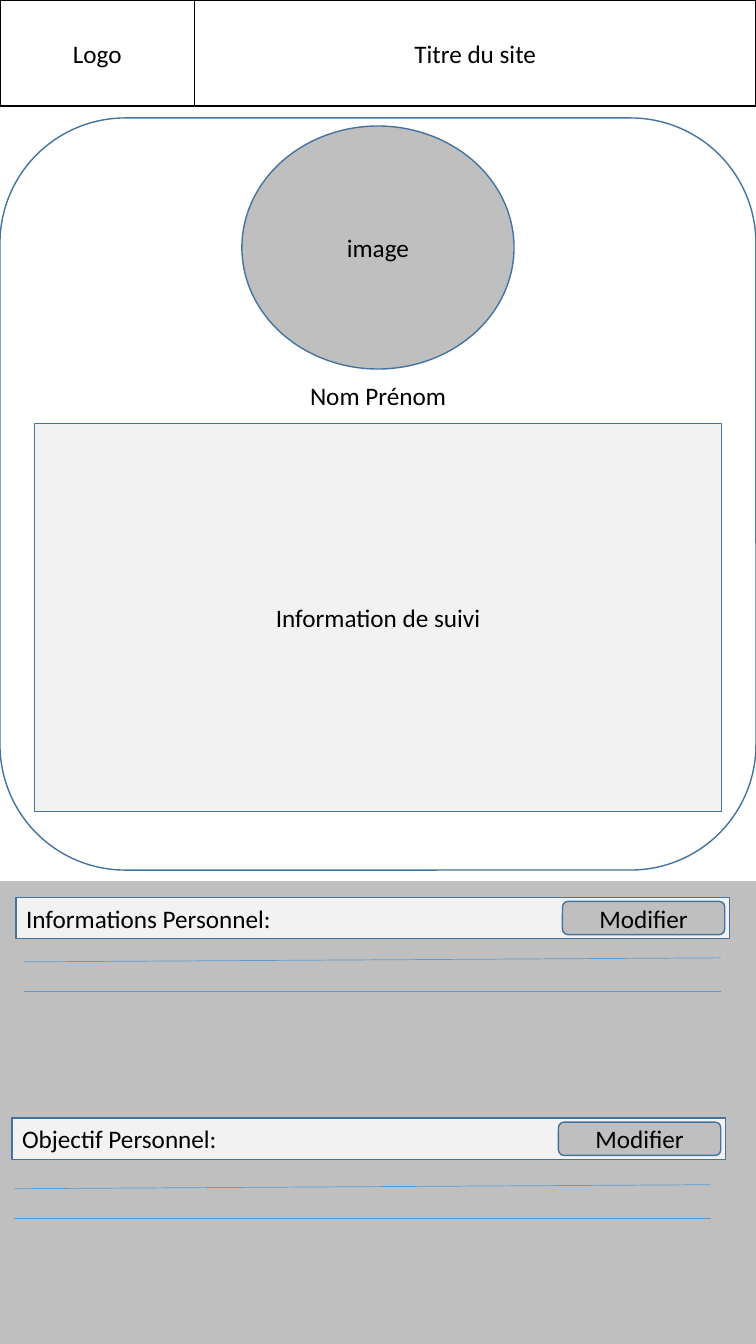
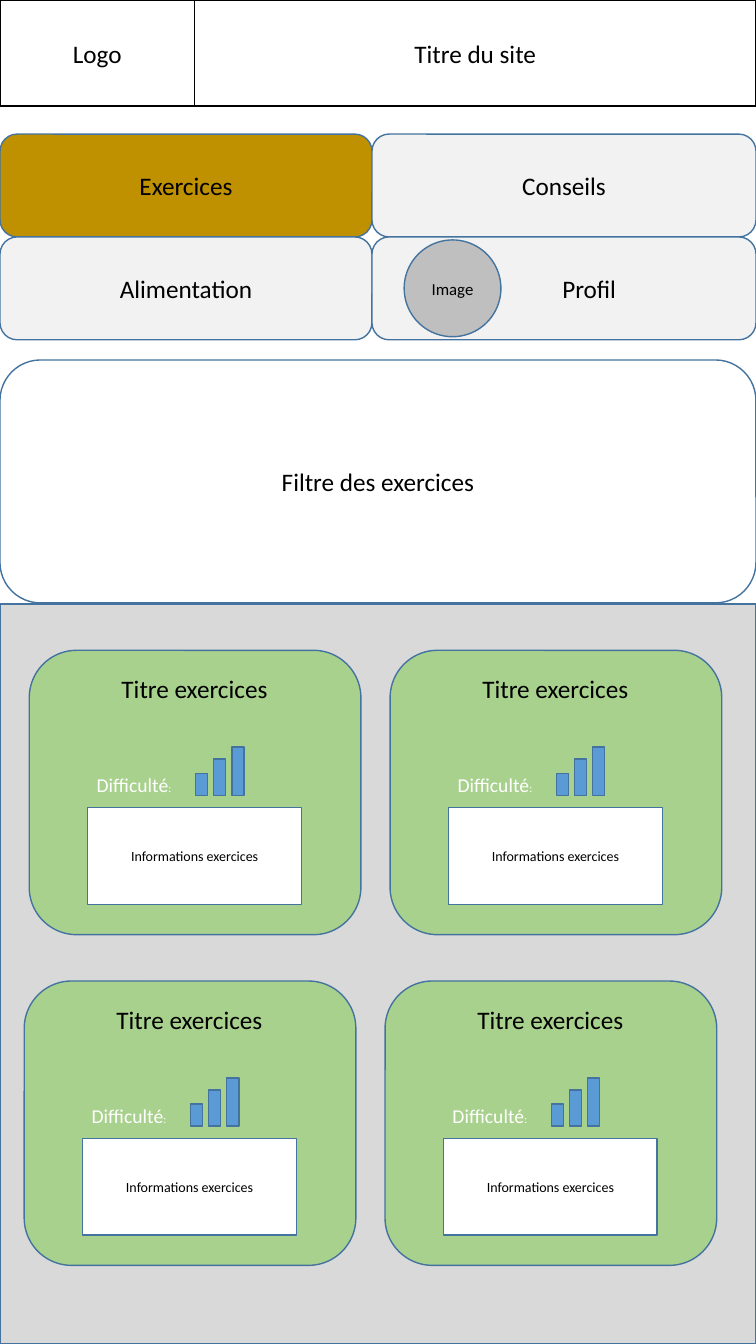
from pptx import Presentation
from pptx.util import Inches, Pt
from pptx.dml.color import RGBColor
from pptx.enum.shapes import MSO_SHAPE, MSO_CONNECTOR
from pptx.enum.text import PP_ALIGN, MSO_ANCHOR, MSO_AUTO_SIZE
from pptx.oxml.ns import qn
from lxml import etree

# Content
HEAD = ["Logo", "Titre du site"]
PERSON = ["image", "Nom Prénom", "Information de suivi"]
EDIT = "Modifier"
# title, panel left and top, rules left and top
PANELS = [
    ("Informations Personnel:", 0.16, 8.9, 0.24, 9.5),
    ("Objectif Personnel:", 0.12, 11.09, 0.14, 11.75),
]
TABS = [["Exercices", "Conseils"], ["Alimentation", "\tProfil"]]
ACTIVE = "Exercices"
FILTER = "Filtre des exercices"
CARD = ["Titre exercices", "Difficulté", ":", "Informations exercices"]

# Shared look
FONT = "Calibri"
COLOR = dict(white="FFFFFF", black="000000", edge="43739E", blue="5B9BD5",
             pale="F2F2F2", gray="BFBFBF", soft="D9D9D9", gold="BF9000",
             green="A9D18E")
WIDE, HIGH = 7.5, 13.33
SPLIT, HEAD_H = 1.93, 1.05
RECT, ROUND, OVAL = (MSO_SHAPE.RECTANGLE, MSO_SHAPE.ROUNDED_RECTANGLE,
                     MSO_SHAPE.OVAL)


def tint(name):
    return RGBColor.from_string(COLOR[name])


def style(run, size, color):
    run.font.name = FONT
    run.font.size = Pt(size)
    run.font.color.rgb = tint(color)


def box(slide, kind, x, y, w, h, fill, text="", size=18, edge="edge",
        align=PP_ALIGN.CENTER):
    shape = slide.shapes.add_shape(kind, *map(Inches, (x, y, w, h)))
    shape.shadow.inherit = False
    shape.fill.solid()
    shape.fill.fore_color.rgb = tint(fill)
    if edge:
        shape.line.color.rgb = tint(edge)
        shape.line.width = Pt(1)
    else:
        shape.line.fill.background()
    if text:
        frame = shape.text_frame
        frame.text = text
        frame.vertical_anchor = MSO_ANCHOR.MIDDLE
        para = frame.paragraphs[0]
        para.alignment = align
        style(para.runs[0], size, "black")


def label(slide, x, y, w, h, parts, color="black"):
    frame = slide.shapes.add_textbox(*map(Inches, (x, y, w, h))).text_frame
    frame.word_wrap = True
    frame.auto_size = MSO_AUTO_SIZE.SHAPE_TO_FIT_TEXT
    para = frame.paragraphs[0]
    para.alignment = PP_ALIGN.CENTER
    for text, size in parts:
        run = para.add_run()
        run.text = text
        style(run, size, color)


def rule(slide, x, y, end_x, end_y):
    line = slide.shapes.add_connector(
        MSO_CONNECTOR.STRAIGHT, *map(Inches, (x, y, end_x, end_y)))
    line.line.color.rgb = tint("blue")
    line.line.width = Pt(0.5)
    etree.SubElement(line._element.spPr, qn("a:effectLst"))


def page(deck):
    slide = deck.slides.add_slide(deck.slide_layouts[6])
    cells = [(0, SPLIT), (SPLIT, WIDE - SPLIT)]
    for text, (x, w) in zip(HEAD, cells):
        box(slide, RECT, x, 0, w, HEAD_H, "white", text, edge="black")
    return slide


def panel(slide, title, x, y, rule_x, rule_y):
    box(slide, RECT, x, y, 7.08, 0.41, "pale", title, align=PP_ALIGN.LEFT)
    box(slide, ROUND, x + 5.42, y + 0.04, 1.61, 0.33, "gray", EDIT)
    end = rule_x + 6.91
    rule(slide, rule_x, rule_y + 0.04, end, rule_y)
    rule(slide, rule_x, rule_y + 0.33, end, rule_y + 0.33)


def card(slide, x, y):
    title, level, colon, info = CARD
    box(slide, ROUND, x, y, 3.29, 2.82, "green")
    label(slide, x + 0.29, y + 0.18, 2.7, 0.4, [(title, 18)])
    label(slide, x + 0.48, y + 1.17, 1.12, 0.34,
          [(level, 14), (colon, 8)], "white")
    # Difficulty bars share one base line
    for i, tall in enumerate([0.22, 0.36, 0.48]):
        box(slide, RECT, x + 1.65 + i * 0.18, y + 1.44 - tall, 0.12, tall,
            "blue")
    box(slide, RECT, x + 0.58, y + 1.56, 2.12, 0.96, "white", info, 10)


deck = Presentation()
deck.slide_width, deck.slide_height = Inches(WIDE), Inches(HIGH)

# Profile page
slide = page(deck)
photo, name, notes = PERSON
box(slide, ROUND, 0, 1.17, WIDE, 7.46, "white")
box(slide, OVAL, 2.4, 1.25, 2.7, 2.41, "gray", photo)
label(slide, 2.19, 3.72, 3.12, 0.4, [(name, 18)])
box(slide, RECT, 0.34, 4.2, 6.82, 3.85, "pale", notes)
box(slide, RECT, 0, 8.74, WIDE, HIGH - 8.74, "gray", edge=None)
for item in PANELS:
    panel(slide, *item)

# Exercise page: tabs
slide = page(deck)
TAB_W, TAB_H = 3.69, 1.02
for r, row in enumerate(TABS):
    for c, text in enumerate(row):
        box(slide, ROUND, c * TAB_W, 1.33 + r * TAB_H,
            WIDE - TAB_W if c else TAB_W, TAB_H,
            "gold" if text == ACTIVE else "pale", text)
box(slide, OVAL, 4.01, 2.38, 0.96, 0.96, "gray", "Image", 12)

# Filter and card grid, lower row set slightly left
box(slide, ROUND, 0, 3.57, WIDE, 2.41, "white", FILTER)
box(slide, RECT, 0, 5.99, WIDE, HIGH - 5.99, "soft")
for r in range(2):
    for c in range(2):
        card(slide, 0.29 + c * 3.58 - r * 0.05, 6.45 + r * 3.28)

deck.save("out.pptx")
